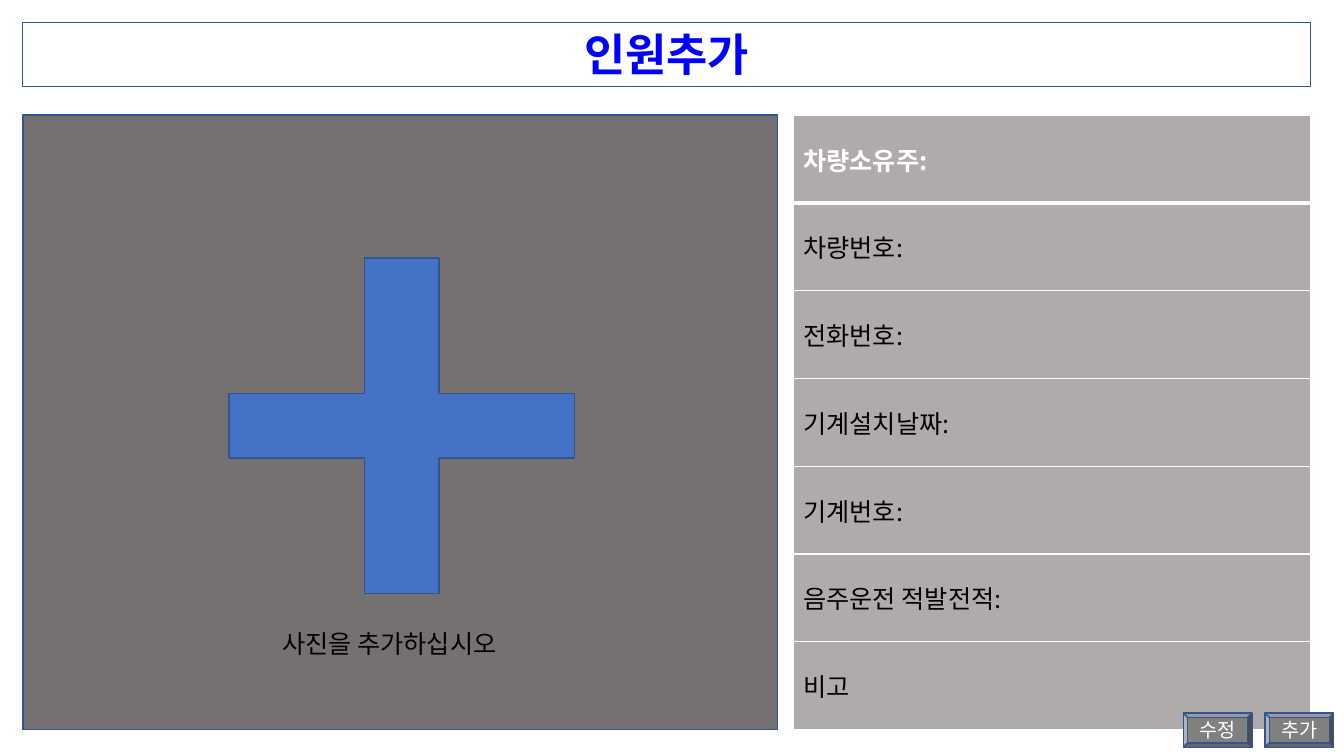
from dataclasses import dataclass
from lxml.etree import SubElement
from pptx import Presentation
from pptx.dml.color import RGBColor as RGB
from pptx.enum.shapes import MSO_SHAPE as Kind
from pptx.enum.text import MSO_ANCHOR as Anchor, PP_ALIGN as Align
from pptx.oxml import parse_xml
from pptx.oxml.ns import qn
from pptx.util import Cm, Pt

NS = "http://schemas.openxmlformats.org/drawingml/2006/main"


@dataclass(frozen=True)
class Theme:
    """Hold the colours, font and type sizes."""
    font: str = "Noto Sans CJK KR"
    white: str = "FFFFFF"
    black: str = "000000"
    title: str = "0000FF"
    edge: str = "325491"
    panel: str = "767171"
    row: str = "AFABAB"
    plus: str = "4472C4"
    button: str = "808080"
    big: int = 32
    body: int = 18
    small: int = 14


LOOK = Theme()


def write(frame, text, size=LOOK.body, color=LOOK.black, bold=False,
          align=Align.LEFT, anchor=Anchor.TOP):
    """Put one formatted line of text in a frame."""
    frame.word_wrap = True
    frame.vertical_anchor = anchor
    para = frame.paragraphs[0]
    para.alignment = align
    run = para.add_run()
    run.text = text
    font = run.font
    font.name, font.size, font.bold = LOOK.font, Pt(size), bold
    font.color.rgb = RGB.from_string(color)
    SubElement(font._element, qn("a:ea"), typeface=LOOK.font)


def block(slide, kind, box, fill=None, width=1):
    """Add an outlined shape, filled when a colour is given."""
    shape = slide.shapes.add_shape(kind, *map(Cm, box))
    shape.shadow.inherit = False
    if fill:
        shape.fill.solid()
        shape.fill.fore_color.rgb = RGB.from_string(fill)
    else:
        shape.fill.background()
    shape.line.color.rgb = RGB.from_string(LOOK.edge)
    shape.line.width = Pt(width)
    return shape


def border(cell, **sides):
    """Draw white cell borders of the given point widths."""
    props = cell._tc.get_or_add_tcPr()
    for spot, (side, width) in enumerate(sides.items()):
        props.insert(spot, parse_xml(
            f'<a:ln{side} xmlns:a="{NS}" w="{Pt(width)}"><a:solidFill>'
            f'<a:srgbClr val="{LOOK.white}"/></a:solidFill></a:ln{side}>'))


def header(slide, box, text):
    """Build the framed title."""
    shape = block(slide, Kind.RECTANGLE, box, width=0.75)
    write(shape.text_frame, text, size=LOOK.big, color=LOOK.title,
          bold=True, align=Align.CENTER)


def photo(slide, box):
    """Build the photo panel."""
    block(slide, Kind.RECTANGLE, box, LOOK.panel)


def prompt(slide, box, text):
    """Build the plus sign and its caption within the photo panel."""
    left, top, wide, _ = box
    plus = block(slide, Kind.CROSS, (left + 5.19, top + 3.6, 8.71, 8.46), LOOK.plus)
    plus.adjustments[0] = 0.404
    note = slide.shapes.add_textbox(
        *map(Cm, (left + 6.28, top + 12.8, wide - 6.28, 1.02)))
    write(note.text_frame, text)


def form(slide, box, labels):
    """Build the one-column table of labels."""
    table = slide.shapes.add_table(len(labels), 1, *map(Cm, box)).table
    for place, label in enumerate(labels):
        first = place == 0
        table.rows[place].height = Cm(box[3] / len(labels))
        cell = table.cell(place, 0)
        cell.fill.solid()
        cell.fill.fore_color.rgb = RGB.from_string(LOOK.row)
        border(cell, L=1, R=1, T=3 if place == 1 else 1, B=3 if first else 1)
        write(cell.text_frame, label, bold=first,
              color=LOOK.white if first else LOOK.black)
        cell.vertical_anchor = Anchor.MIDDLE


def buttons(slide, box, labels, step=2.06):
    """Build a row of bevelled buttons from the first button's box."""
    left, top, wide, high = box
    for place, label in enumerate(labels):
        shape = block(slide, Kind.BEVEL,
                      (left + place * step, top, wide, high), LOOK.button)
        write(shape.text_frame, label, size=LOOK.small, color=LOOK.white,
              align=Align.CENTER, anchor=Anchor.MIDDLE)


def main():
    """Build and save the slide."""
    deck = Presentation()
    deck.slide_width, deck.slide_height = Cm(33.87), Cm(19.05)
    slide = deck.slides.add_slide(deck.slide_layouts[6])
    panel = (0.58, 2.9, 19.02, 15.49)
    header(slide, (0.58, 0.56, 32.44, 1.63), "인원추가")
    photo(slide, panel)
    form(slide, (19.99, 2.9, 13.03, 15.49), [
        "차량소유주:", "차량번호:", "전화번호:", "기계설치날짜:",
        "기계번호:", "음주운전 적발전적:", "비고"])
    prompt(slide, panel, "사진을 추가하십시오")
    buttons(slide, (29.82, 17.97, 1.73, 0.86), ["수정", "추가"])
    deck.save("out.pptx")


main()
